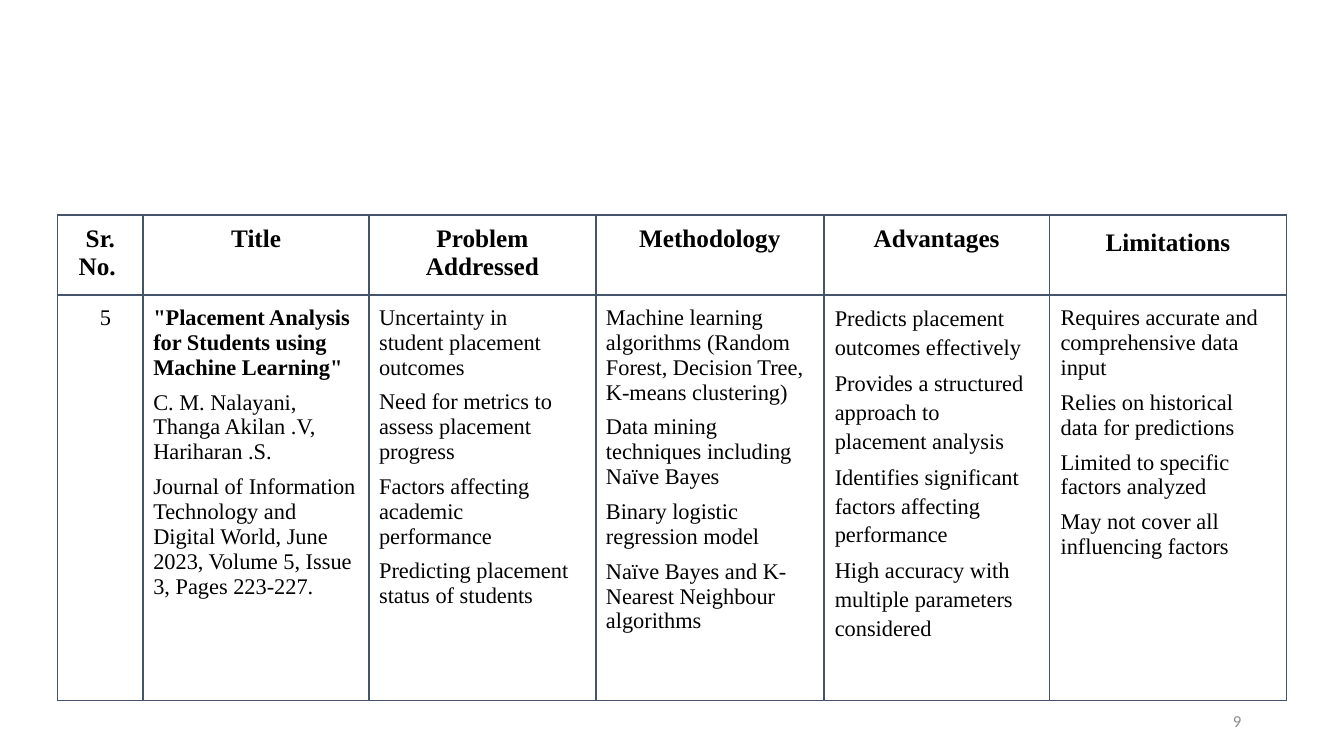
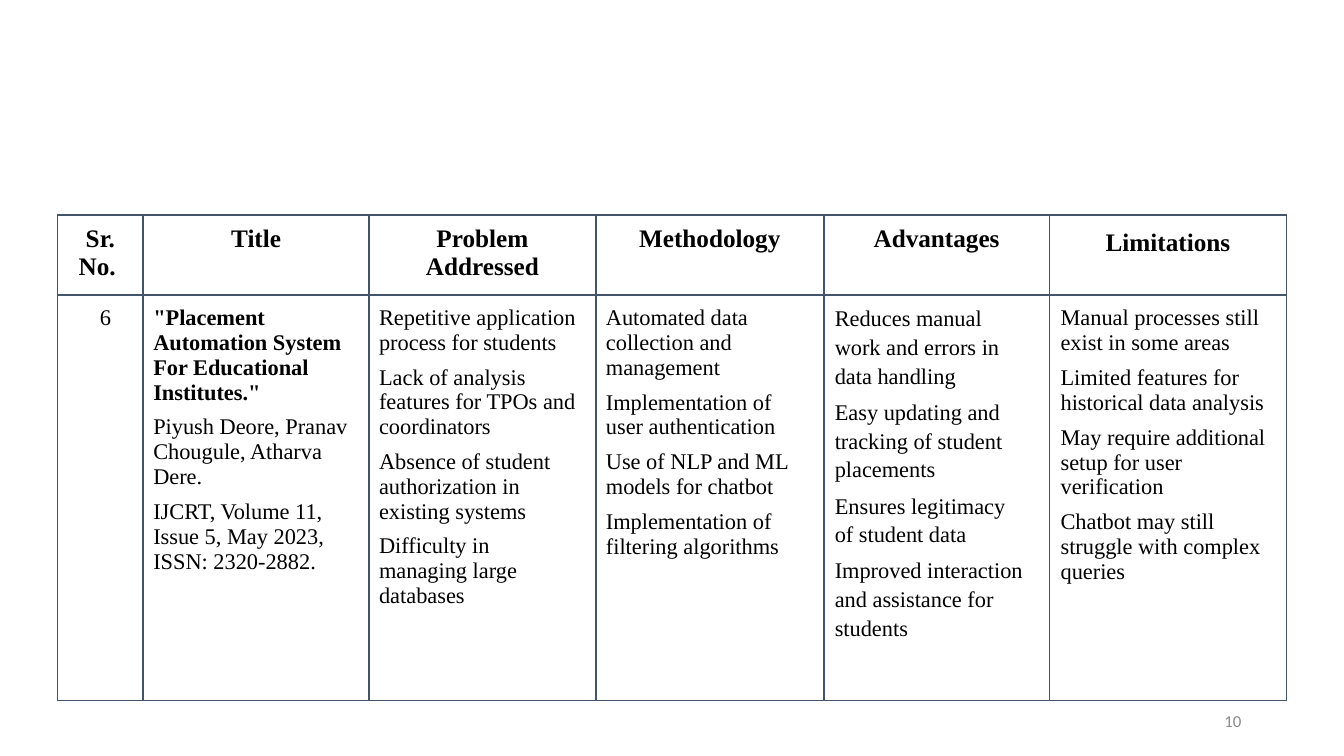
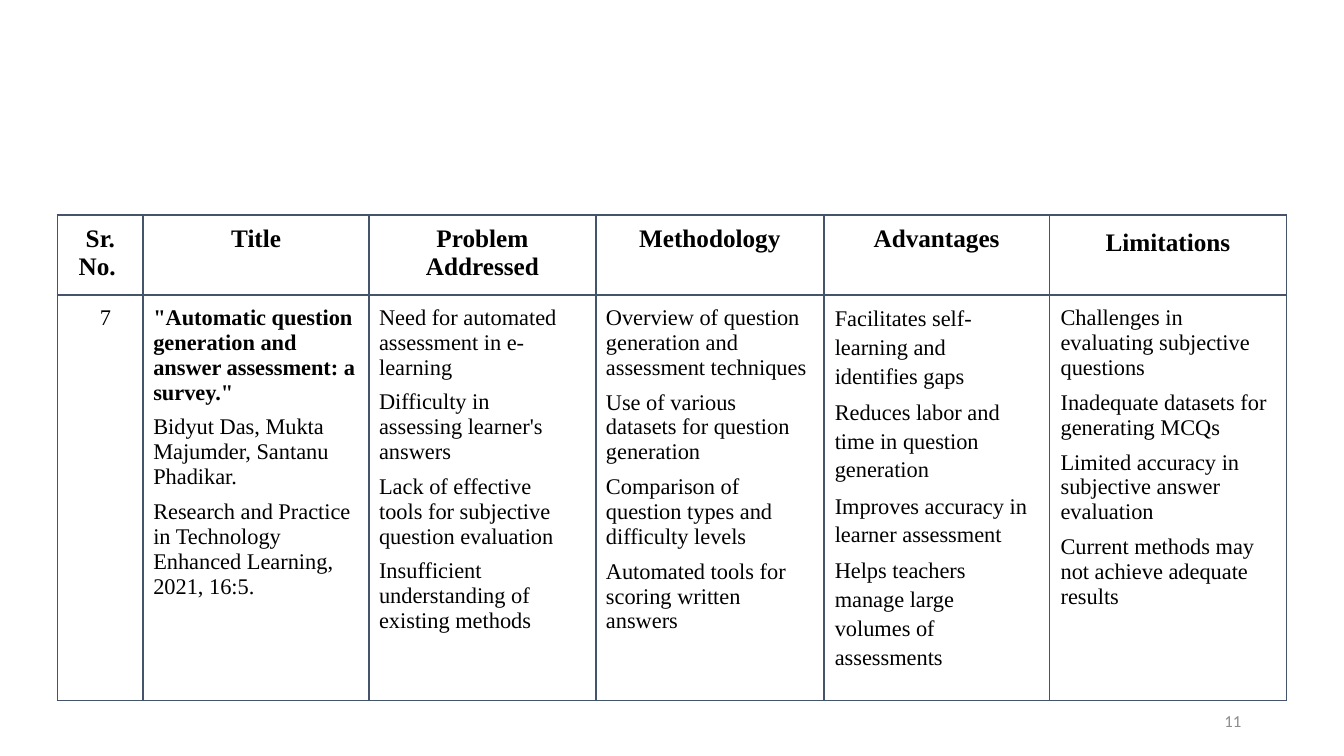
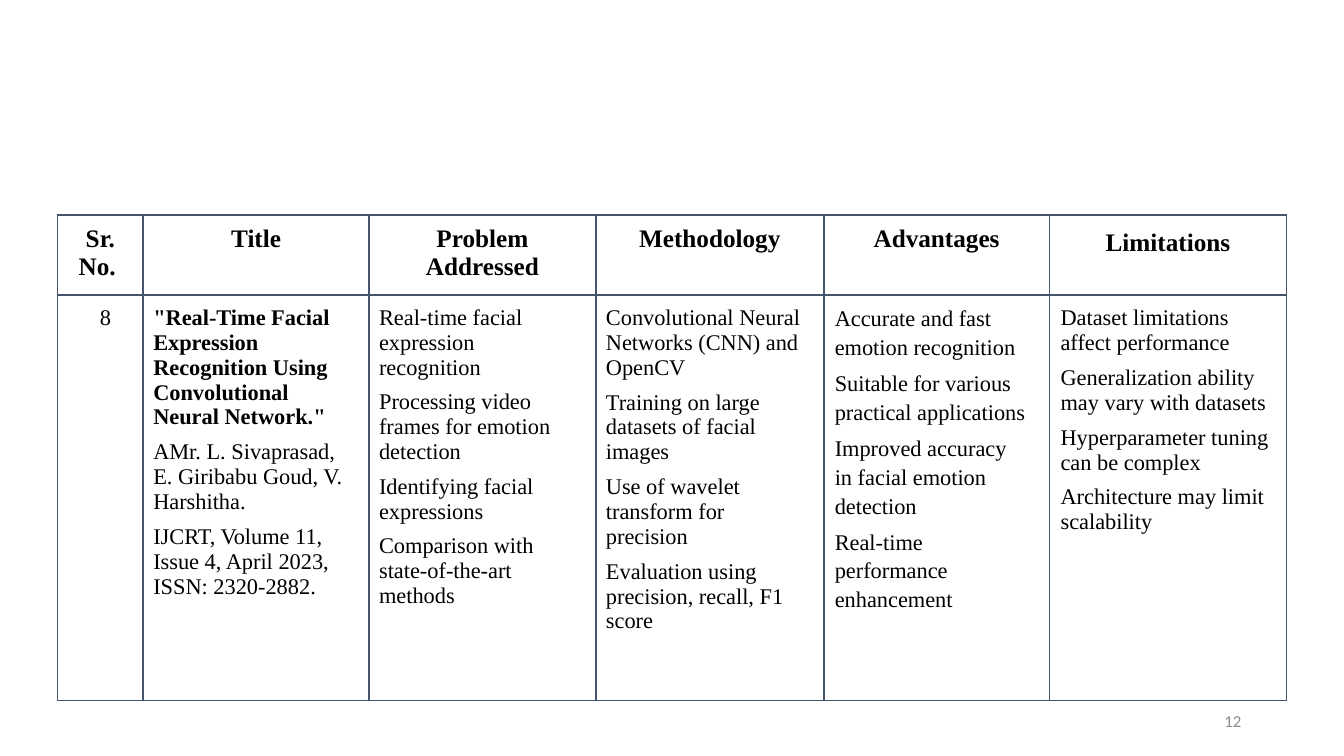
from lxml import etree
from pptx import Presentation
from pptx import util as u
from pptx.dml.color import RGBColor
from pptx.enum import text
from pptx.oxml import ns

BLACK = RGBColor(0x00, 0x00, 0x00)
WHITE = RGBColor(0xFF, 0xFF, 0xFF)
SLATE = RGBColor(0x44, 0x54, 0x6A)
GREY = RGBColor(0x8C, 0x8C, 0x8C)
SERIF, SANS = "Times New Roman", "Calibri"
CENTER = text.PP_ALIGN.CENTER
LEFT = text.PP_ALIGN.LEFT

FIRST_PAGE = 9
FIRST_PAPER = 5
TABLE_LEFT, TABLE_TOP = 0.57, 2.13
ROW_HEIGHTS = (0.57, 4.02)
HEADER_INSETS = (0.1, 0.1, 0.1, 0.1)

COLUMN_KEYS = ("label", "width", "head_spacing", "top", "indents", "spacing", "before", "align")
COLUMNS = [dict(zip(COLUMN_KEYS, values)) for values in (
    ("Sr. No. ", 0.85, None, 0.1, (0.1, 0), None, 7.1, CENTER),
    ("Title", 2.24, None, 0.1, (0.1, 0.13), 1.0, 7.1, LEFT),
    ("Problem Addressed", 2.25, None, 0.1, (0.1, 0.19), 1.0, 7, LEFT),
    ("Methodology", 2.26, None, 0.1, (0.1, 0.14), None, 7.1, LEFT),
    ("Advantages", 2.24, None, 0.07, (0.11, 0.22), 1.16, 5.2, LEFT),
    ("Limitations", 2.35, 1.15, 0.1, (0.11, 0.14), 1.0, 7.2, LEFT),
)]

PAPERS = [
    [
        ["\"Placement Analysis for Students using Machine Learning\"",
         "C. M. Nalayani, Thanga Akilan .V, Hariharan .S.",
         "Journal of Information Technology and Digital World, June 2023, Volume 5, Issue 3, Pages 223-227."],
        ["Uncertainty in student placement outcomes",
         "Need for metrics to assess placement progress",
         "Factors affecting academic performance",
         "Predicting placement status of students"],
        ["Machine learning algorithms (Random Forest, Decision Tree, K-means clustering)",
         "Data mining techniques including Naïve Bayes",
         "Binary logistic regression model",
         "Naïve Bayes and K-Nearest Neighbour algorithms"],
        ["Predicts placement outcomes effectively",
         "Provides a structured approach to placement analysis",
         "Identifies significant factors affecting performance",
         "High accuracy with multiple parameters considered"],
        ["Requires accurate and comprehensive data input",
         "Relies on historical data for predictions",
         "Limited to specific factors analyzed",
         "May not cover all influencing factors"],
    ],
    [
        ["\"Placement Automation System For Educational Institutes.\"",
         "Piyush Deore, Pranav Chougule, Atharva Dere.",
         "IJCRT, Volume 11, Issue 5, May 2023, ISSN: 2320-2882."],
        ["Repetitive application process for students",
         "Lack of analysis features for TPOs and coordinators",
         "Absence of student authorization in existing systems",
         "Difficulty in managing large databases"],
        ["Automated data collection and management",
         "Implementation of user authentication",
         "Use of NLP and ML models for chatbot",
         "Implementation of filtering algorithms"],
        ["Reduces manual work and errors in data handling",
         "Easy updating and tracking of student placements",
         "Ensures legitimacy of student data",
         "Improved interaction and assistance for students"],
        ["Manual processes still exist in some areas",
         "Limited features for historical data analysis",
         "May require additional setup for user verification",
         "Chatbot may still struggle with complex queries"],
    ],
    [
        ["\"Automatic question generation and answer assessment: a survey.\"",
         "Bidyut Das, Mukta Majumder, Santanu Phadikar.",
         "Research and Practice in Technology Enhanced Learning, 2021, 16:5."],
        ["Need for automated assessment in e-learning",
         "Difficulty in assessing learner's answers",
         "Lack of effective tools for subjective question evaluation",
         "Insufficient understanding of existing methods"],
        ["Overview of question generation and assessment techniques",
         "Use of various datasets for question generation",
         "Comparison of question types and difficulty levels",
         "Automated tools for scoring written answers"],
        ["Facilitates self-learning and identifies gaps",
         "Reduces labor and time in question generation",
         "Improves accuracy in learner assessment",
         "Helps teachers manage large volumes of assessments"],
        ["Challenges in evaluating subjective questions",
         "Inadequate datasets for generating MCQs",
         "Limited accuracy in subjective answer evaluation",
         "Current methods may not achieve adequate results"],
    ],
    [
        ["\"Real-Time Facial Expression Recognition Using Convolutional Neural Network.\"",
         "AMr. L. Sivaprasad, E. Giribabu Goud, V. Harshitha.",
         "IJCRT, Volume 11, Issue 4, April 2023, ISSN: 2320-2882."],
        ["Real-time facial expression recognition",
         "Processing video frames for emotion detection",
         "Identifying facial expressions",
         "Comparison with state-of-the-art methods"],
        ["Convolutional Neural Networks (CNN) and OpenCV",
         "Training on large datasets of facial images",
         "Use of wavelet transform for precision",
         "Evaluation using precision, recall, F1 score"],
        ["Accurate and fast emotion recognition",
         "Suitable for various practical applications",
         "Improved accuracy in facial emotion detection",
         "Real-time performance enhancement"],
        ["Dataset limitations affect performance",
         "Generalization ability may vary with datasets",
         "Hyperparameter tuning can be complex",
         "Architecture may limit scalability"],
    ],
]


def style_run(p, font, size, color, bold=False):
    for r in p.runs:
        r.font.name, r.font.size, r.font.bold = font, u.Pt(size), bold
        r.font.color.rgb = color


def add_borders(cell):
    tcPr = cell._tc.get_or_add_tcPr()
    for i, side in enumerate(("lnL", "lnR", "lnT", "lnB")):
        ln = etree.Element(ns.qn("a:" + side), w=str(u.Pt(1.5)))
        fill = etree.SubElement(ln, ns.qn("a:solidFill"))
        etree.SubElement(fill, ns.qn("a:srgbClr"), val=str(SLATE))
        tcPr.insert(i, ln)


def fill_cell(cell, lines, insets, size, bold_lines, align, spacing, indents=(0, 0), before=0):
    (cell.margin_left, cell.margin_top,
     cell.margin_right, cell.margin_bottom) = map(u.Inches, insets)
    cell.text_frame.text = "\n".join(lines)
    for i, p in enumerate(cell.text_frame.paragraphs):
        p.alignment = align
        if spacing:
            p.line_spacing = spacing
        pPr = p._p.get_or_add_pPr()
        for name, indent in zip(("marL", "marR"), indents):
            pPr.set(name, str(u.Inches(indent)))
        pPr.set("indent", "0")
        if i:
            p.space_before = u.Pt(before)
        style_run(p, SERIF, size, BLACK, i < bold_lines)
    add_borders(cell)


def add_paper_table(s, number, paper):
    width = sum(column["width"] for column in COLUMNS)
    table = s.shapes.add_table(
        2, len(COLUMNS), u.Inches(TABLE_LEFT), u.Inches(TABLE_TOP),
        u.Inches(width), u.Inches(sum(ROW_HEIGHTS))).table
    table.first_row = table.horz_banding = False
    for row, height in zip(table.rows, ROW_HEIGHTS):
        row.height = u.Inches(height)
    entries = [[str(number)]] + paper
    for c, (column, lines) in enumerate(zip(COLUMNS, entries)):
        table.columns[c].width = u.Inches(column["width"])
        head, body = table.cell(0, c), table.cell(1, c)
        head.fill.solid()
        head.fill.fore_color.rgb = WHITE
        body.fill.background()
        fill_cell(head, [column["label"]], HEADER_INSETS, 18, 1, CENTER, column["head_spacing"])
        fill_cell(body, lines, (0, column["top"], 0, 0), 16, int(column["label"] == "Title"),
                  column["align"], column["spacing"], column["indents"], column["before"])


def add_page_number(s, page):
    box = s.shapes.add_textbox(*map(u.Inches, (9.41, 6.95, 3, 0.4)))
    tf = box.text_frame
    tf.word_wrap = True
    tf.vertical_anchor = text.MSO_ANCHOR.MIDDLE
    tf.text = str(page)
    p = tf.paragraphs[0]
    p.alignment = text.PP_ALIGN.RIGHT
    style_run(p, SANS, 12, GREY)


def main():
    prs = Presentation()
    prs.slide_width, prs.slide_height = u.Inches(13.33), u.Inches(7.5)
    for i, paper in enumerate(PAPERS):
        s = prs.slides.add_slide(prs.slide_layouts[6])
        add_page_number(s, FIRST_PAGE + i)
        add_paper_table(s, FIRST_PAPER + i, paper)
    prs.save("out.pptx")


if __name__ == "__main__":
    main()
